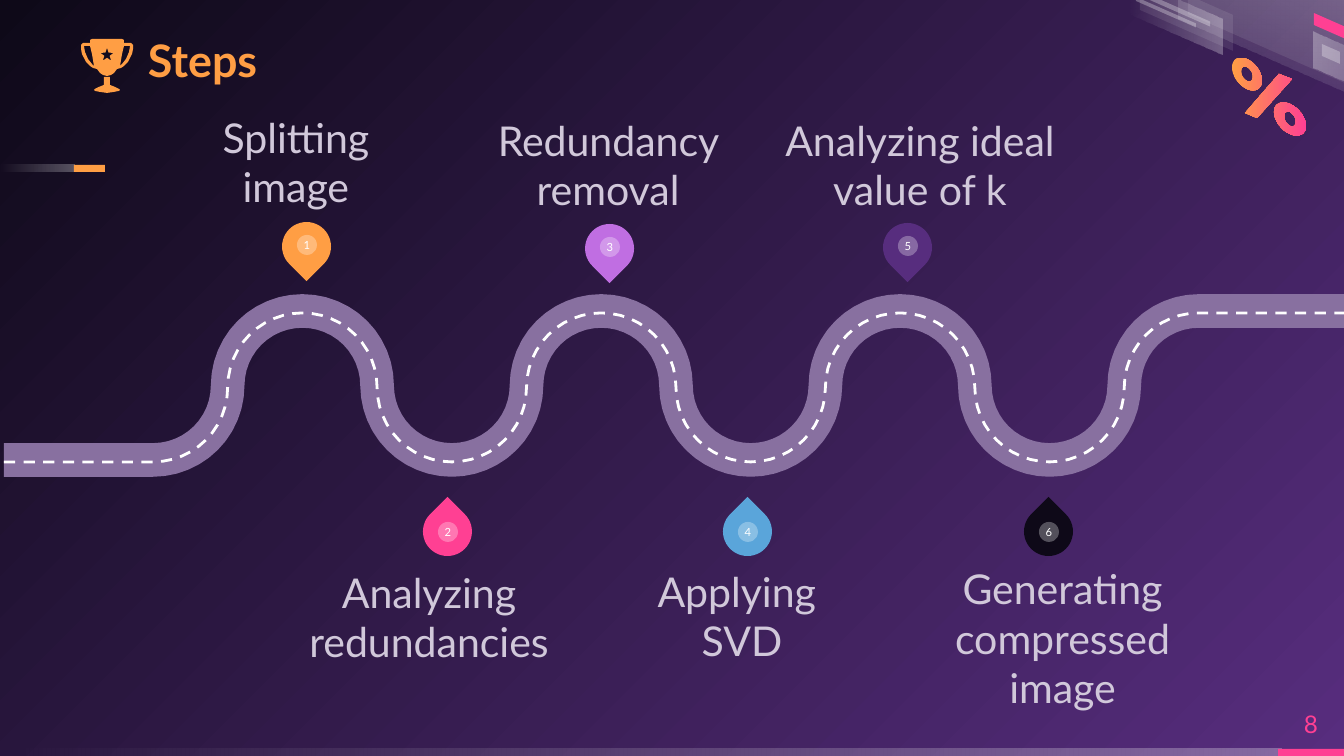
from math import cos, hypot, pi, sin

from lxml import etree
from pptx import Presentation
from pptx.dml.color import RGBColor
from pptx.enum.dml import MSO_LINE
from pptx.enum.shapes import MSO_SHAPE
from pptx.enum.text import MSO_ANCHOR, MSO_AUTO_SIZE, PP_ALIGN
from pptx.oxml.ns import qn
from pptx.util import Pt

RECT, OVAL, DROP = MSO_SHAPE.RECTANGLE, MSO_SHAPE.OVAL, MSO_SHAPE.TEAR
TOP, MID, LOW = MSO_ANCHOR.TOP, MSO_ANCHOR.MIDDLE, MSO_ANCHOR.BOTTOM
LEFT, MIDDLE = PP_ALIGN.LEFT, PP_ALIGN.CENTER
NS = "http://schemas.openxmlformats.org/drawingml/2006/main"
PX = 914400 / 134.4
WIDE, HIGH = 1344, 756

THEME = {
    "font": "Lato",
    "orange": "FF9E44", "pink": "FF4093", "lilac": "C06EE2", "blue": "5AA5DA",
    "purple": "572D7E", "night": "0E0918", "road": "8870A0",
    "white": "FFFFFF", "label": "D1C8DA",
    "title_pt": 24, "label_pt": 22, "page_pt": 13, "dot_pt": 6,
    "road_pt": 18, "dash_pt": 1.5,
}

# Content: number, label, label box (x, y, width), pin corner, pin colour
STEPS = [
    ("1", "Splitting image", (168, 133, 256), (282, 222), "orange"),
    ("2", "Analyzing redundancies", (294, 567, 270), (423, 507), "pink"),
    ("3", "Redundancy removal", (465, 136, 286), (585, 224), "lilac"),
    ("4", "Applying \nSVD", (607, 566, 270), (723, 507), "blue"),
    ("5", "Analyzing ideal value of k", (754, 136, 332), (883, 223), "purple"),
    ("6", "Generating compressed image", (933, 564, 259), (1024, 507), "night"),
]

# Fills: colour name, or (stops of colour and alpha, angle)
FAINT = ([("white", 9)], 0)
SOFT = ([("white", 29)], 0)


def fade(alpha, angle):
    return [("white", alpha), ("white", 0)], angle


BARS = [
    (0, 749, 1282, 7, fade(29, 180)), (1278, 749, 66, 7, "pink"),
    (0, 165, 75, 7, fade(29, 180)), (74, 165, 31, 7, "orange"),
]

# Slanted corner bands: x, y, width, height, fill
SLOPE = 0.44
BANDS = [
    (1188, -117, 222, 131, FAINT), (1179, -113, 222, 132, fade(40, 110)),
    (1314, 13, 58, 12, "pink"), (1140, -26, 93, 36, FAINT),
    (1314, 32, 112, 36, fade(29, 0)), (1322, 44, 18, 12, SOFT),
    (1129, -22, 93, 36, fade(29, 180)), (1136, -11, 74, 5, SOFT),
    (1136, -3, 60, 4, SOFT),
]

# Percent sign: rings as centre and radii, then the slash
RINGS = [(1247, 74, 15, 15), (1247, 74, 6, 7), (1290, 119, 16, 15), (1290, 119, 6, 7)]
SLASH = [(1279, 74), (1292, 79), (1257, 118), (1245, 113)]

# Trophy: right half outlines, as offset from the axis and y
AXIS = 107
FOOT = [(3, 77), (3, 85), (8, 87), (12, 89), (13, 90), (12, 91), (7, 92), (0, 93)]
CUP = [(15, 39), (17, 40), (17, 43), (24, 43), (26, 45), (26, 49), (25, 54),
       (23, 58), (21, 62), (17, 66), (14, 68), (10, 69), (7, 73), (4, 75), (0, 76)]
GRIP = [(17, 46), (23, 46), (22, 52), (19, 59), (15, 64), (13, 66), (14, 60), (15, 54)]

# Road: first and last bend, top and bottom of the centre line
ROAD = {"start": 4, "first": 153, "last": 1199, "end": 1348, "top": 311, "low": 460}
TURNS, CUTS = 7, 12


def emu(*vals):
    return [round(v * PX) for v in vals]


def rgb(name):
    return RGBColor.from_string(THEME[name])


def stop(parent, name, alpha=100):
    node = etree.SubElement(parent, qn("a:srgbClr"), val=THEME[name])
    if alpha < 100:
        etree.SubElement(node, qn("a:alpha"), val=str(alpha * 1000))


def paint(owner, fill, spec, focus=False):
    """Fill with a solid, a see-through colour or a gradient."""
    fill.solid()
    stops, angle = ([(spec, 100)], 0) if isinstance(spec, str) else spec
    old = owner.element.find(".//" + qn("a:solidFill"))
    many = len(stops) > 1
    new = etree.Element(qn("a:gradFill" if many else "a:solidFill"), nsmap={"a": NS})
    if many:
        row = etree.SubElement(new, qn("a:gsLst"))
        for i, (name, alpha) in enumerate(stops):
            pos = str(100000 * i // (len(stops) - 1))
            stop(etree.SubElement(row, qn("a:gs"), pos=pos), name, alpha)
        if focus:
            ring = etree.SubElement(new, qn("a:path"), path="circle")
            etree.SubElement(ring, qn("a:fillToRect"), l="100000", t="100000")
        else:
            etree.SubElement(new, qn("a:lin"), ang=str(angle * 60000), scaled="0")
    else:
        stop(new, *stops[0])
    old.getparent().replace(old, new)


def plain(shape, spec):
    shape.shadow.inherit = False
    shape.line.fill.background()
    paint(shape, shape.fill, spec)
    return shape


def form(kind, x, y, w, h, spec):
    return plain(slide.shapes.add_shape(kind, *emu(x, y, w, h)), spec)


def trace(loops, close=True):
    pen = None
    for loop in loops:
        first, *rest = [emu(*spot) for spot in loop]
        if pen is None:
            pen = slide.shapes.build_freeform(*first, scale=1.0)
        else:
            pen.move_to(*first)
        pen.add_line_segments(rest, close=close)
    return pen.convert_to_shape()


def write(shape, text, size, color, align=MIDDLE, anchor=MID, bold=False):
    frame = shape.text_frame
    frame.text = text
    frame.word_wrap, frame.auto_size = True, MSO_AUTO_SIZE.NONE
    frame.vertical_anchor = anchor
    frame.margin_left = frame.margin_right = frame.margin_top = frame.margin_bottom = 0
    for para in frame.paragraphs:
        para.alignment = align
        font = para.font
        font.name, font.size, font.bold = THEME["font"], Pt(THEME[size]), bold
        font.color.rgb = rgb(color)


def label(text, box, size, color, anchor=MID):
    write(slide.shapes.add_textbox(*emu(*box)), text, size, color, anchor=anchor)


def bends(shift):
    """Centre line of the road: quarter circles between valleys and crests."""
    rad = (ROAD["last"] - ROAD["first"]) / TURNS / 2
    mid, half = (ROAD["top"] + ROAD["low"]) / 2, (ROAD["low"] - ROAD["top"]) / 2
    angles = [pi / 2 * i / CUTS for i in range(CUTS + 1)]
    spots = [(ROAD["start"], ROAD["low"])]
    for i in range(TURNS):
        x, side = ROAD["first"] + 2 * rad * i, (-1) ** i
        spots += [(x + rad * sin(a), mid + side * half * cos(a)) for a in angles]
        spots += [(x + 2 * rad - rad * cos(a), mid - side * half * sin(a))
                  for a in angles[1:]]
    spots.append((ROAD["end"], ROAD["top"]))
    return [(x, y + shift) for x, y in spots]


def oval(x, y, wide, high):
    turns = [2 * pi * i / 32 for i in range(32)]
    return [(x + wide * cos(a), y + high * sin(a) + SLOPE * wide * cos(a)) for a in turns]


def side(half, sign):
    return [(AXIS + sign * dx, y) for dx, y in half]


def whole(half):
    return side(half, 1) + side(half, -1)[::-1]


deck = Presentation()
deck.slide_width, deck.slide_height = emu(WIDE, HIGH)
slide = deck.slides.add_slide(deck.slide_layouts[5])
paint(slide, slide.background.fill, ([("purple", 100), ("night", 100)], 0), focus=True)

# Bars, title and page number
for bar in BARS:
    form(RECT, *bar)
title = slide.shapes.title
title.left, title.top, title.width, title.height = emu(148, 30, 504, 57)
write(title, "Steps", "title_pt", "orange", LEFT, LOW, True)
title.text_frame.paragraphs[0].line_spacing = 0.9
label("8", (1278, 698, 66, 51), "page_pt", "pink")

# Road and its dashed centre line
for shift, color, width, dash in [(0, "road", "road_pt", None),
                                  (2, "white", "dash_pt", MSO_LINE.DASH)]:
    lane = trace([bends(shift)], close=False)
    lane.shadow.inherit = False
    lane.fill.background()
    lane.line.color.rgb, lane.line.width = rgb(color), Pt(THEME[width])
    lane.line.dash_style = dash

# Pins with numbers, and their labels
for num, text, (x, y, w), (left, top), color in STEPS:
    above = top < ROAD["top"]
    pin = form(DROP, left, top, 49, 49, color)
    pin.rotation = 135 if above else 315
    dot = form(OVAL, left + 15, top + (13 if above else 15), 20, 20, SOFT)
    write(dot, num, "dot_pt", "white")
    label(text, (x, y, w, 78), "label_pt", "label", LOW if above else TOP)

# Corner bands and percent sign
for x, y, w, h, spec in BANDS:
    drop = SLOPE * w
    plain(trace([[(x, y), (x + w, y + drop), (x + w, y + drop + h), (x, y + h)]]), spec)
sign = trace([oval(*ring) for ring in RINGS] + [SLASH])
plain(sign, ([("orange", 100), ("pink", 100)], 0))

# Trophy with a star cut out
notch = hypot(2, 2)
star = [(AXIS + r * sin(pi * i / 5), 55 - r * cos(pi * i / 5))
        for i, r in enumerate([7, notch] * 5)]
plain(trace([whole(FOOT)]), "orange")
plain(trace([whole(CUP), side(GRIP, 1), side(GRIP, -1), star]), "orange")

deck.save("out.pptx")
